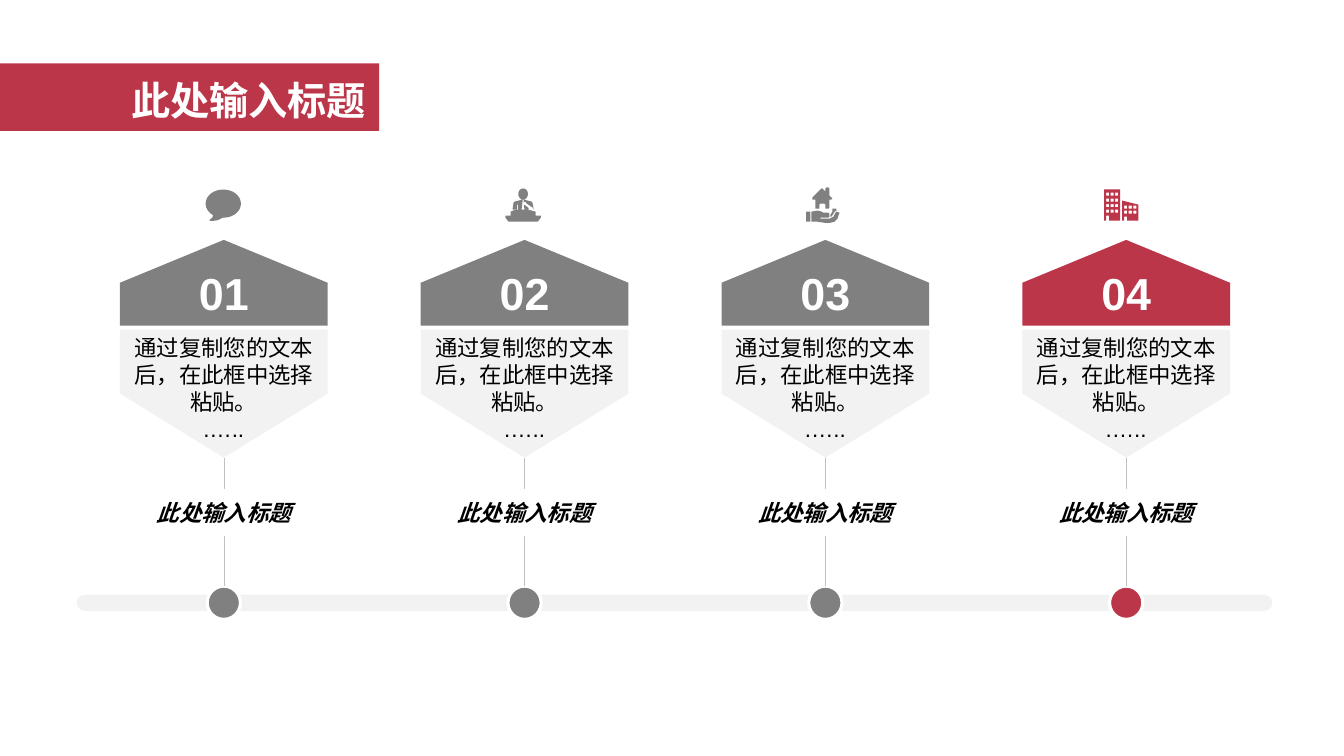
from math import cos, radians, sin

from lxml.etree import SubElement
from pptx import Presentation
from pptx.dml.color import RGBColor
from pptx.enum.shapes import MSO_CONNECTOR, MSO_SHAPE
from pptx.enum.text import MSO_ANCHOR, MSO_AUTO_SIZE, PP_ALIGN
from pptx.oxml.ns import qn
from pptx.util import Inches, Pt

COLORS = {
    "accent": "BC3649",
    "gray": "808080",
    "pale": "F2F2F2",
    "stem": "BFBFBF",
    "white": "FFFFFF",
    "black": "000000",
}
FIRST_CENTER, LAST_CENTER = 2.22, 11.17
CARD_WIDTH = 2.06
ROOF_TOP, ROOF_HEIGHT = 2.38, 0.85
PANEL_TOP, PANEL_HEIGHT = 3.27, 1.27
DOT_SIZE, TRACK_MIDDLE = 0.33, 5.98
HEADING = "此处输入标题"
DETAIL = ("通过复制您的文本后，在此框中选择粘贴。", ".…..")


def rgb(name):
    return RGBColor.from_string(COLORS[name])


def box(left, top, width, height):
    return [Inches(value) for value in (left, top, width, height)]


def arc(center, radii, start=0, end=360, step=15):
    """Points along an ellipse, with angles running clockwise."""
    return [(center[0] + radii[0] * cos(radians(angle)),
             center[1] + radii[1] * sin(radians(angle)))
            for angle in range(start, end + 1, step)]


def windows(columns, rows, size=3):
    return [[(x, y), (x + size, y), (x + size, y + size), (x, y + size)]
            for x in columns for y in rows]


# Outlines are in hundredths of an inch from the icon's top left corner.
SPEECH = [arc((17.5, 14), (17.5, 14), 125, 455, 10)
          + [(17, 28), (12, 30.5), (8, 31), (4, 31), (4, 30), (6.5, 28)]]
SPEAKER = [
    [(0, 27), (35, 27), (35, 29), (32, 33), (3, 33), (0, 29)],
    [(5, 27), (5, 23), (9, 21.5), (17, 21), (24, 21.5), (30, 23), (30, 27)],
    [(7, 21), (8, 14), (9, 13), (17, 11), (17, 12), (16, 21),
     (12.5, 21), (12.5, 16), (11.5, 16), (11.5, 21)],
    [(18, 11), (26, 13), (27, 15), (28, 21), (27, 19), (21, 15), (20, 13), (18, 14)],
    [(18, 16), (20, 17), (23, 19.5), (23, 21), (19, 21)],
    arc((17.5, 5.5), (4.75, 5.5)),
]
HOUSE_IN_HAND = [
    [(0, 24), (4, 24), (4, 34), (0, 34)],
    [(5, 24), (8, 23.5), (11, 23), (14, 23.5), (17, 25), (22, 25), (23, 26),
     (23, 29), (22, 30), (14, 30), (14, 31), (23, 31), (27, 29), (29, 25),
     (30, 24), (33, 25), (31, 31), (28, 34), (24, 35), (18, 35), (11, 34), (5, 34)],
    [(26, 21), (30, 21), (30, 23), (28, 24), (27, 26), (25, 29), (24, 29),
     (24, 27), (26, 24)],
    [(15, 1), (16, 1), (19, 4), (19, 1), (20, 0), (22, 0), (23, 1), (23, 8),
     (26, 11), (25, 12), (23, 12), (23, 20), (22, 21), (19, 21), (19, 17),
     (18, 16), (14, 16), (13, 17), (13, 21), (9, 21), (9, 12), (6, 12), (6, 10)],
]
BUILDINGS = [
    [(0, 0), (16, 0), (16, 31), (5, 31), (5, 26), (2, 26), (2, 31), (0, 31)],
    [(18, 11), (34, 15), (34, 31), (23, 31), (23, 27), (20, 27), (20, 31), (18, 31)],
    *windows((2, 6.5, 11), (3, 9, 14.5, 20)),
    *windows((20, 24.5, 29), (16, 21)),
]
# Outlines, shift of the left edge from the column centre, top, colour
STEPS = [
    (SPEECH, -0.18, 1.88, "gray"),
    (SPEAKER, -0.19, 1.87, "gray"),
    (HOUSE_IN_HAND, -0.19, 1.86, "gray"),
    (BUILDINGS, -0.22, 1.88, "accent"),
]


def paint(shape, fill, outline=None, weight=2.25):
    shape.shadow.inherit = False
    shape.fill.solid()
    shape.fill.fore_color.rgb = rgb(fill)
    if outline:
        shape.line.color.rgb = rgb(outline)
        shape.line.width = Pt(weight)
    else:
        shape.line.fill.background()
    return shape


def add_block(slide, preset, bounds, fill, outline=None):
    return paint(slide.shapes.add_shape(preset, *box(*bounds)), fill, outline)


def add_pentagon(slide, center, top, height, rotation, fill):
    """Pentagon turned upright, placed by the bounds it shows."""
    bounds = (center - height / 2, top + (height - CARD_WIDTH) / 2, height, CARD_WIDTH)
    add_block(slide, MSO_SHAPE.PENTAGON, bounds, fill).rotation = rotation


def write(shape, *paragraphs, size=16, color="black", font="Arial", bold=False,
          italic=False, align=PP_ALIGN.CENTER, anchor=MSO_ANCHOR.TOP):
    frame = shape.text_frame
    frame.word_wrap = True
    frame.auto_size = MSO_AUTO_SIZE.NONE
    frame.vertical_anchor = anchor
    for index, text in enumerate(paragraphs):
        paragraph = frame.add_paragraph() if index else frame.paragraphs[0]
        paragraph.alignment = align
        run = paragraph.add_run()
        run.text = text
        run.font.size = Pt(size)
        run.font.bold = bold
        run.font.italic = italic
        run.font.color.rgb = rgb(color)
        run.font.name = font
        SubElement(run._r.get_or_add_rPr(), qn("a:ea"), typeface=font)


def add_text(slide, bounds, *paragraphs, **style):
    write(slide.shapes.add_textbox(*box(*bounds)), *paragraphs, **style)


def add_icon(slide, outlines, left, top, fill):
    tenths = [[(x * 10, y * 10) for x, y in outline] for outline in outlines]
    builder = slide.shapes.build_freeform(*tenths[0][0], scale=Inches(0.001))
    for index, outline in enumerate(tenths):
        if index:
            builder.move_to(*outline[0])
        builder.add_line_segments(outline[1:], close=True)
    paint(builder.convert_to_shape(Inches(left), Inches(top)), fill)


def add_stem(slide, center, top, dot):
    x = Inches(center)
    stem = slide.shapes.add_connector(MSO_CONNECTOR.STRAIGHT, x, Inches(top), x, dot.top)
    stem.end_connect(dot, 0)
    stem.line.color.rgb = rgb("stem")
    stem.line.width = Pt(0.25)
    SubElement(stem.element.spPr, qn("a:effectLst"))


def add_title(slide):
    title = slide.shapes.title
    title.left, title.top, title.width, title.height = box(1.11, 0.71, 2.62, 0.57)
    write(title, HEADING, size=28, color="white", font="Noto Sans CJK SC",
          bold=True, align=PP_ALIGN.RIGHT)
    banner = add_block(slide, MSO_SHAPE.RECTANGLE, (0, 0.63, 3.76, 0.67), "accent")
    title.element.addprevious(banner.element)


def add_step(slide, number, center, outlines, icon_shift, icon_top, color):
    left = center - CARD_WIDTH / 2
    add_pentagon(slide, center, ROOF_TOP, ROOF_HEIGHT, 270, color)
    add_pentagon(slide, center, PANEL_TOP, PANEL_HEIGHT, 90, "pale")
    add_text(slide, (left, 2.75, CARD_WIDTH, 0.47), f"{number:02}", size=32,
             color="white", bold=True, anchor=MSO_ANCHOR.BOTTOM)
    dot = add_block(slide, MSO_SHAPE.OVAL,
                    (center - DOT_SIZE / 2, TRACK_MIDDLE - DOT_SIZE / 2, DOT_SIZE, DOT_SIZE),
                    color, "white")
    add_stem(slide, center, PANEL_TOP + PANEL_HEIGHT, dot)
    add_icon(slide, outlines, center + icon_shift, icon_top, color)
    add_text(slide, (left, PANEL_TOP, CARD_WIDTH, 0.75), *DETAIL)
    label = add_block(slide, MSO_SHAPE.RECTANGLE, (left, 4.85, CARD_WIDTH, 0.47), "white")
    write(label, HEADING, bold=True, italic=True, anchor=MSO_ANCHOR.MIDDLE)


def main():
    deck = Presentation()
    deck.slide_width, deck.slide_height = Inches(13.33), Inches(7.5)
    slide = deck.slides.add_slide(deck.slide_layouts.get_by_name("Title Only"))
    add_title(slide)
    track = add_block(slide, MSO_SHAPE.ROUNDED_RECTANGLE, (0.76, 5.9, 11.86, 0.16), "pale")
    track.adjustments[0] = 0.5
    pitch = (LAST_CENTER - FIRST_CENTER) / (len(STEPS) - 1)
    for index, step in enumerate(STEPS):
        add_step(slide, index + 1, FIRST_CENTER + index * pitch, *step)
    deck.save("out.pptx")


if __name__ == "__main__":
    main()
